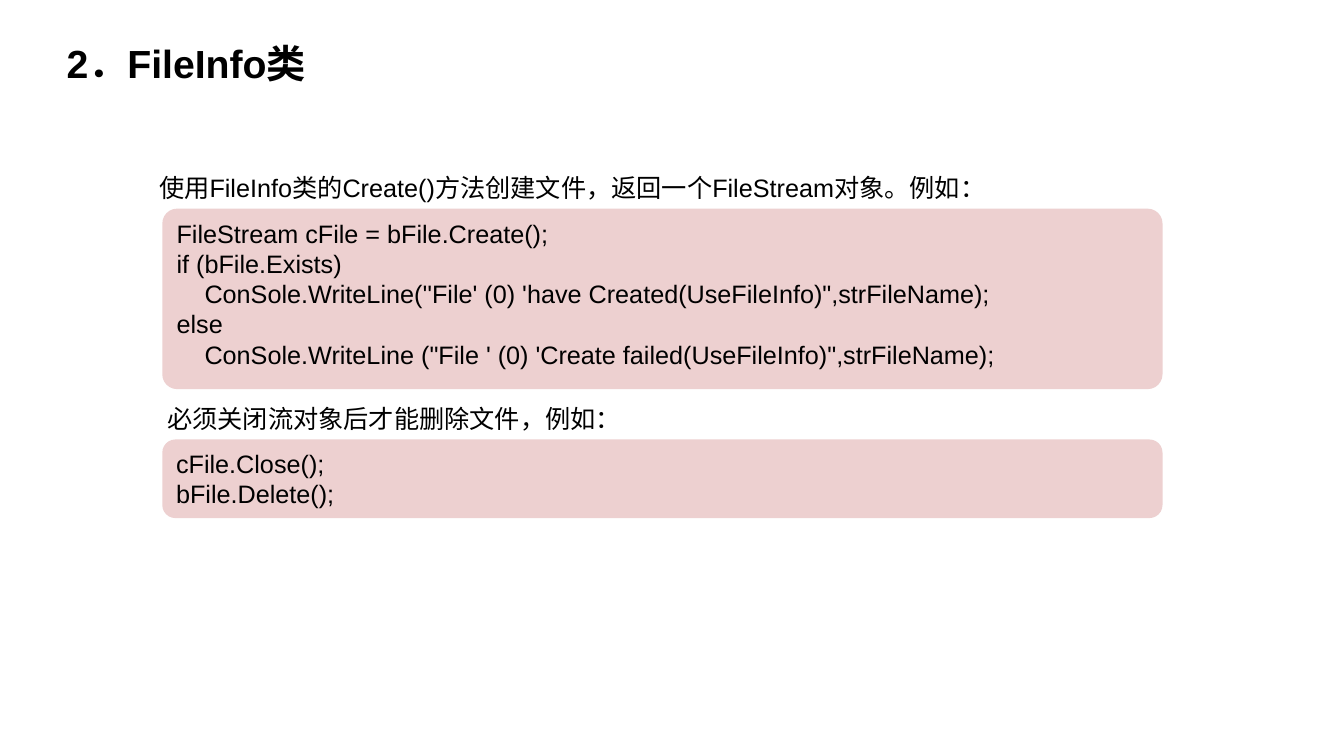
from pptx import Presentation
from pptx.dml.color import RGBColor
from pptx.enum.shapes import MSO_SHAPE as Shape
from pptx.enum.text import MSO_ANCHOR as Anchor, MSO_AUTO_SIZE as AutoSize, PP_ALIGN as Align
from pptx.util import Emu, Pt

PX = 9144  # 100 px to the inch
BLACK = RGBColor(0x00, 0x00, 0x00)
WHITE = RGBColor(0xFF, 0xFF, 0xFF)
PINK = RGBColor(0xED, 0xD0, 0xD0)


def px(*lengths):
    return [Emu(length * PX) for length in lengths]


def write(shape, lines, size=18, bold=False, anchor=Anchor.TOP, wrap=True):
    frame = shape.text_frame
    frame.word_wrap = wrap
    frame.auto_size = AutoSize.NONE
    frame.vertical_anchor = anchor
    for i, line in enumerate(lines):
        para = frame.add_paragraph() if i else frame.paragraphs[0]
        para.alignment = Align.LEFT
        span = para.add_run()
        span.text = line
        span.font.name = "Arial"
        span.font.size = Pt(size)
        span.font.bold = bold
        span.font.color.rgb = BLACK


deck = Presentation()
deck.slide_width, deck.slide_height = px(1333, 750)
page = deck.slides.add_slide(deck.slide_layouts[5])
page.background.fill.solid()
page.background.fill.fore_color.rgb = WHITE

# Title
title = page.shapes.title
title.left, title.top, title.width, title.height = px(56, 39, 699, 52)
write(title, ["2．FileInfo类"], size=28, bold=True, anchor=Anchor.MIDDLE)
title.text_frame.paragraphs[0].line_spacing = 0.9

# Explanations
explanations = [
    (148, 166, 996, True, "使用FileInfo类的Create()方法创建文件，返回一个FileStream对象。例如："),
    (156, 395, 475, False, "必须关闭流对象后才能删除文件，例如："),
]
for left, top, width, wrap, text in explanations:
    box = page.shapes.add_textbox(*px(left, top, width, 40))
    write(box, [text], wrap=wrap)

# Code panels
panels = [
    (207, 179, 0.082, [
        "FileStream cFile = bFile.Create();",
        "if (bFile.Exists)",
        "    ConSole.WriteLine(''File' (0) 'have Created(UseFileInfo)\",strFileName);",
        "else",
        "    ConSole.WriteLine (\"File ' (0) 'Create failed(UseFileInfo)\",strFileName);",
    ]),
    (436, 78, 0.167, ["cFile.Close();", "bFile.Delete();"]),
]
for top, height, rounding, code in panels:
    panel = page.shapes.add_shape(Shape.ROUNDED_RECTANGLE, *px(161, top, 992, height))
    panel.adjustments[0] = rounding
    panel.shadow.inherit = False
    panel.fill.solid()
    panel.fill.fore_color.rgb = PINK
    panel.line.fill.background()
    write(panel, code)

deck.save("out.pptx")
